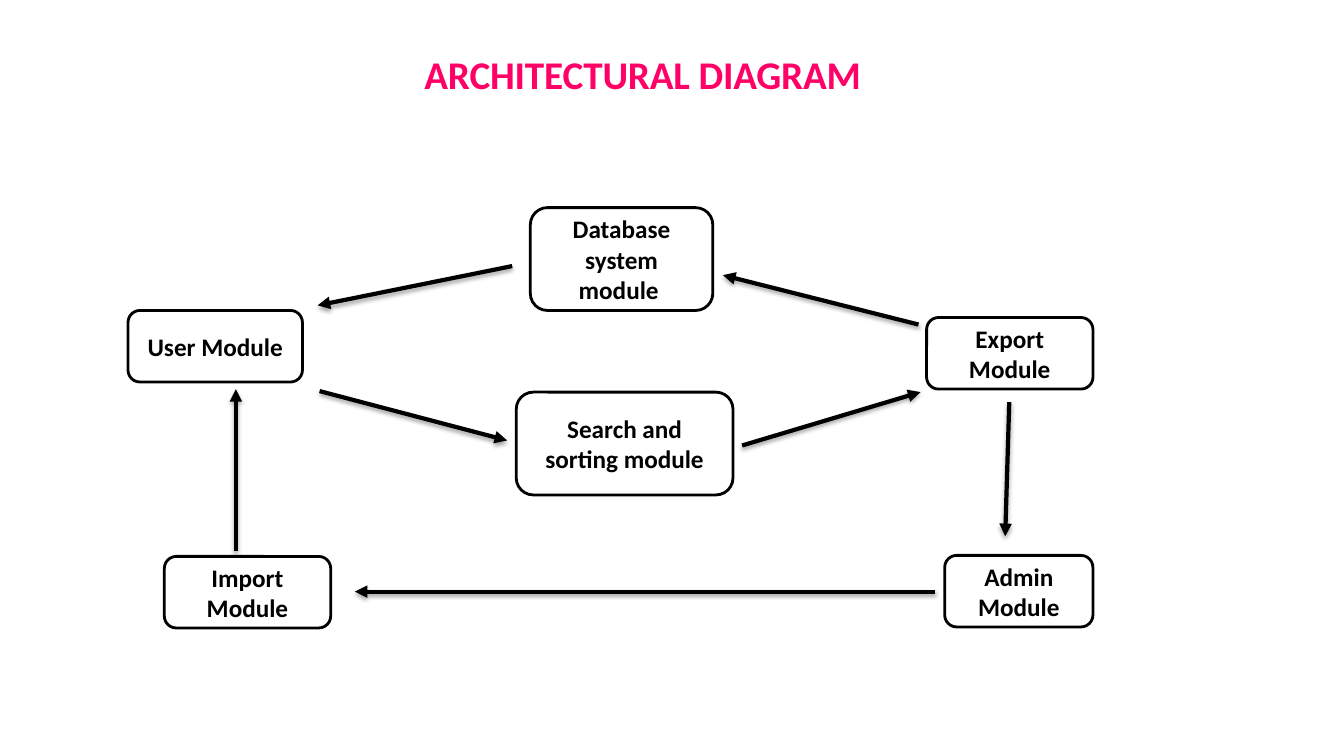
from lxml import etree
from pptx import Presentation
from pptx.dml.color import RGBColor
from pptx.enum import shapes, text
from pptx.oxml import parse_xml
from pptx.oxml.ns import nsdecls, qn
from pptx.util import Inches, Pt

PINK = RGBColor(0xFF, 0x00, 0x66)
BLACK = RGBColor(0x00, 0x00, 0x00)
WHITE = RGBColor(0xFF, 0xFF, 0xFF)

MODULES = [
    ("User Module", 0, 1.02, 1.73, 0.71),
    ("Admin Module", 8.1, 3.45, 1.47, 0.71),
    ("Import\nModule", 0.36, 3.46, 1.65, 0.71),
    ("Search and sorting module", 3.85, 1.83, 2.15, 1.02),
    ("Export Module", 7.92, 1.09, 1.65, 0.71),
    ("Database system module ", 3.99, 0, 1.81, 1.02),
]
ARROWS = [
    (8, 3.81, 2.25, 3.81),
    (1.07, 3.41, 1.07, 1.8),
    (7.84, 1.16, 5.9, 0.67),
    (8.74, 1.93, 8.7, 3.26),
    (1.9, 1.82, 3.76, 2.31),
    (3.81, 0.58, 1.88, 0.97),
    (6.09, 2.36, 7.86, 1.83),
]
SHADOW = (
    f'<a:effectLst {nsdecls("a")}>'
    '<a:outerShdw blurRad="40000" dist="23000" dir="5400000" rotWithShape="0">'
    '<a:srgbClr val="000000"><a:alpha val="35000"/></a:srgbClr>'
    '</a:outerShdw></a:effectLst>'
)


def write(tf, content, size=18, color=BLACK, align=text.PP_ALIGN.CENTER,
          before=0, spacing=None):
    tf.word_wrap = True
    for i, line in enumerate(content.split("\n")):
        p = tf.add_paragraph() if i else tf.paragraphs[0]
        p.alignment = align
        p.space_before = Pt(before)
        r = p.add_run()
        r.text = line
        r.font.name = "Calibri"
        r.font.size = Pt(size)
        r.font.bold = True
        r.font.color.rgb = color
        if spacing is not None:
            r.font._element.set("spc", str(spacing))


def add_title(s, x, y, w, h):
    sp = s.shapes.add_textbox(Inches(x), Inches(y), Inches(w), Inches(h))
    tf = sp.text_frame
    tf.margin_left = tf.margin_right = tf.margin_bottom = 0
    tf.margin_top = Inches(0.01)
    write(tf, "ARCHITECTURAL DIAGRAM", size=28, color=PINK,
          align=text.PP_ALIGN.LEFT, before=1.1, spacing=-10)


def add_module(s, label, x, y, w, h):
    sp = s.shapes.add_shape(shapes.MSO_SHAPE.ROUNDED_RECTANGLE,
                            Inches(x), Inches(y), Inches(w), Inches(h))
    sp.shadow.inherit = False
    sp.fill.solid()
    sp.fill.fore_color.rgb = WHITE
    sp.line.color.rgb = BLACK
    sp.line.width = Pt(2)
    sp.text_frame.vertical_anchor = text.MSO_ANCHOR.MIDDLE
    write(sp.text_frame, label)


def add_arrow(s, x1, y1, x2, y2):
    c = s.shapes.add_connector(shapes.MSO_CONNECTOR.STRAIGHT,
                               Inches(x1), Inches(y1), Inches(x2), Inches(y2))
    c.line.color.rgb = BLACK
    c.line.width = Pt(3)
    etree.SubElement(c.line._get_or_add_ln(), qn("a:tailEnd"), type="triangle")
    c._element.spPr.append(parse_xml(SHADOW))


def add_diagram(s, x, y):
    for label, dx, dy, w, h in MODULES:
        add_module(s, label, x + dx, y + dy, w, h)
    for x1, y1, x2, y2 in ARROWS:
        add_arrow(s, x + x1, y + y1, x + x2, y + y2)


def main():
    prs = Presentation()
    prs.slide_width = Inches(13.33)
    prs.slide_height = Inches(7.5)
    s = prs.slides.add_slide(prs.slide_layouts[6])
    add_title(s, 4.21, 0.49, 5.16, 0.55)
    add_diagram(s, 1.27, 2.06)
    prs.save("out.pptx")


if __name__ == "__main__":
    main()
